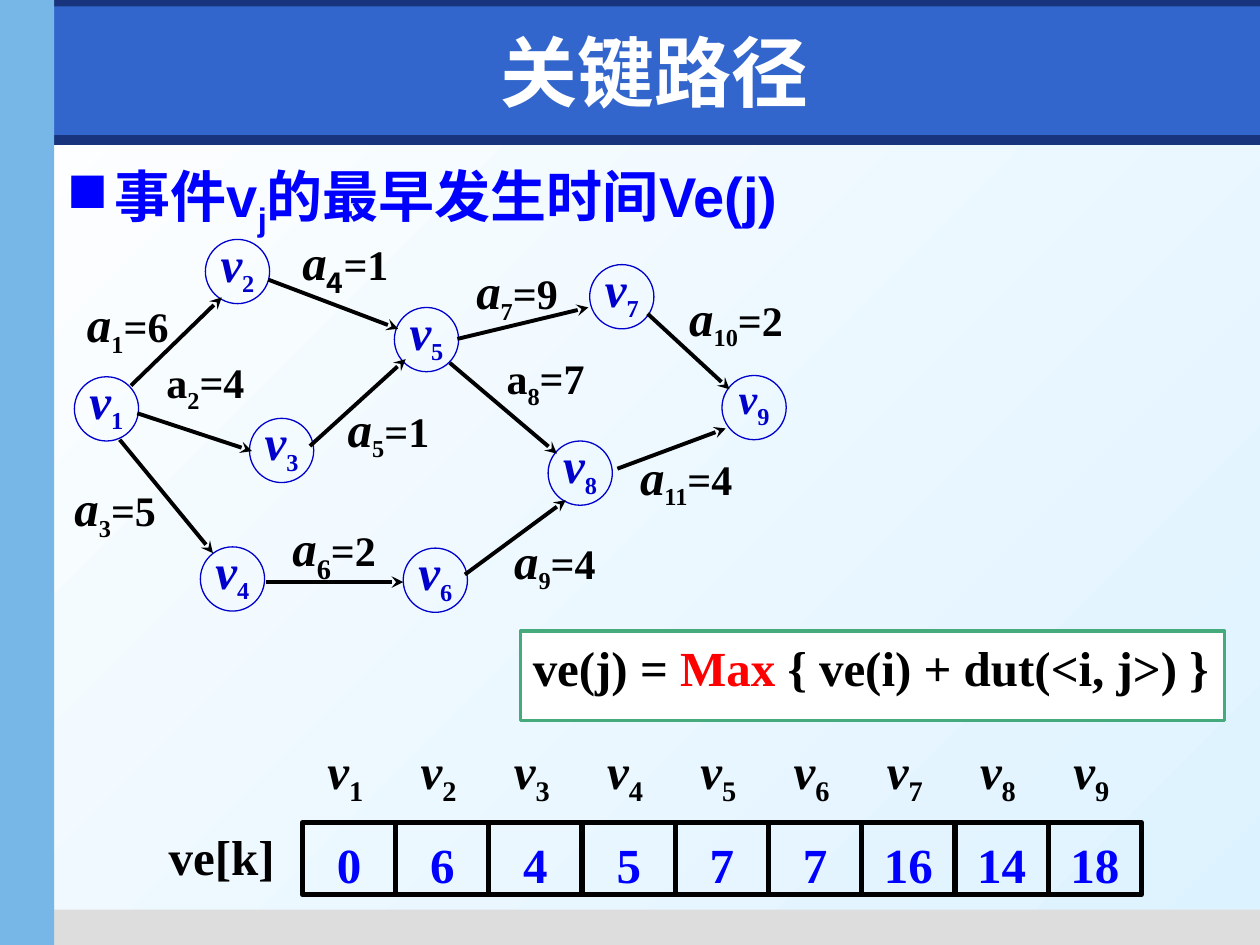
from dataclasses import dataclass

from lxml.etree import SubElement
from pptx import Presentation
from pptx.dml.color import RGBColor
from pptx.enum.lang import MSO_LANGUAGE_ID
from pptx.enum.shapes import MSO_CONNECTOR, MSO_SHAPE
from pptx.enum.text import MSO_ANCHOR, PP_ALIGN
from pptx.oxml.ns import qn
from pptx.util import Inches, Pt


@dataclass(frozen=True)
class Theme:
    navy: str = "17347D"
    band: str = "3366CC"
    sky: str = "77B7E7"
    gray: str = "DDDDDD"
    white: str = "FFFFFF"
    pale: str = "DDF2FF"
    ink: str = "000000"
    blue: str = "0000FF"
    node: str = "0000CC"
    red: str = "FF0000"
    green: str = "45AB7D"
    serif: str = "Times New Roman"
    sans: str = "Arial"
    head: str = "DejaVu Sans"
    cjk: str = "Noto Sans CJK SC"
    title: int = 44
    lead: int = 32
    text: int = 28
    small: int = 24


T = Theme()
ZERO = (0, 0, 0, 0)
PAD = (0.1, 0.05, 0.1, 0.05)

# Background bars: left, top, width, height, colour
BARS = [
    (0.04, 1.07, 9.96, 0.08, T.navy),
    (0.35, 7.22, 9.65, 0.28, T.gray),
    (0, 0, 10, 0.21, T.navy),
    (0.43, 0.05, 9.57, 1.02, T.band),
    (0, 0, 0.43, 7.5, T.sky),
]

# Events v1 to v9: left and top of each circle
NODE = 0.51
NODES = [(0.59, 2.99), (1.63, 1.9), (1.98, 3.32), (1.59, 4.34), (3.13, 2.44),
         (3.2, 4.35), (4.68, 2.1), (4.35, 3.5), (5.73, 2.98)]

# Activities a1 to a11: arrow ends, label corner, weight
EDGES = [
    ((1.04, 3.06, 1.76, 2.36), (0.69, 2.33), 6),
    ((1.09, 3.28, 2, 3.58), (1.32, 2.83), 4),
    ((0.95, 3.49, 1.69, 4.39), (0.59, 3.79), 5),
    ((2.13, 2.22, 3.16, 2.61), (2.4, 1.84), 1),
    ((2.46, 3.54, 3.22, 2.85), (2.76, 3.16), 1),
    ((2.11, 4.62, 3.2, 4.62), (2.32, 4.11), 2),
    ((3.63, 2.69, 4.67, 2.44), (3.78, 2.07), 9),
    ((3.57, 2.88, 4.42, 3.6), (4.02, 2.8), 7),
    ((3.69, 4.56, 4.49, 3.97), (4.08, 4.21), 4),
    ((5.14, 2.49, 5.79, 3.09), (5.47, 2.28), 2),
    ((4.9, 3.72, 5.76, 3.4), (5.08, 3.54), 4),
]
PLAIN = (2, 8)  # activities with a small upright letter
SUBS = {4: {"size": T.text, "name": T.cjk}, 6: {"size": T.text}}

TIMES = [0, 6, 4, 5, 7, 7, 16, 14, 18]
CELL_W, CELL_H = 0.74, 0.57


def color(code):
    return RGBColor.from_string(code)


def write(frame, runs, pad=PAD, wrap=True, anchor=MSO_ANCHOR.TOP, **para):
    """Fill a frame with runs, each a text and its format values."""
    sides = ("left", "top", "right", "bottom")
    form = {f"margin_{side}": Inches(n) for side, n in zip(sides, pad)}
    form |= {"word_wrap": wrap, "vertical_anchor": anchor}
    for key, value in form.items():
        setattr(frame, key, value)
    line = frame.paragraphs[0]
    for key, value in ({"alignment": PP_ALIGN.LEFT} | para).items():
        setattr(line, key, value)
    base = {"name": T.serif, "size": T.text, "bold": True, "italic": False,
            "color": T.ink, "sub": False}
    for text, style in runs:
        look = base | style
        run = line.add_run()
        run.text = text
        run.font.color.rgb = color(look.pop("color"))
        props = run._r.get_or_add_rPr()
        if look.pop("sub"):
            props.set("baseline", "-25000")
        look["size"] = Pt(look["size"])
        look["language_id"] = MSO_LANGUAGE_ID.SIMPLIFIED_CHINESE
        for key, value in look.items():
            setattr(run.font, key, value)
        SubElement(props, qn("a:ea"), typeface=look["name"])
    return line


def label(slide, box, runs, **form):
    shape = slide.shapes.add_textbox(*map(Inches, box))
    return write(shape.text_frame, runs, **form)


def block(slide, kind, box, fill=None, line=None, width=1):
    shape = slide.shapes.add_shape(kind, *map(Inches, box))
    shape.shadow.inherit = False
    if fill:
        shape.fill.solid()
        shape.fill.fore_color.rgb = color(fill)
    else:
        shape.fill.background()
    if line:
        shape.line.color.rgb = color(line)
        shape.line.width = Pt(width)
    else:
        shape.line.fill.background()
    return shape


def arrow(slide, ends):
    link = slide.shapes.add_connector(MSO_CONNECTOR.STRAIGHT, *map(Inches, ends))
    link.line.color.rgb = color(T.ink)
    link.line.width = Pt(2.25)
    SubElement(link.line._get_or_add_ln(), qn("a:tailEnd"), type="stealth")
    SubElement(link._element.spPr, qn("a:effectLst"))


def indent(line, bullet=None):
    props = line._p.get_or_add_pPr()
    props.set("marL", str(Inches(0.38)))
    props.set("indent", str(-Inches(0.38)))
    if bullet:
        tint = SubElement(props, qn("a:buClr"))
        SubElement(tint, qn("a:srgbClr"), val=T.blue)
        SubElement(props, qn("a:buChar"), char=bullet)


def symbol(letter, index, **style):
    """Runs for a letter with a subscript."""
    return [(letter, {"italic": True} | style), (str(index), {"sub": True} | style)]


def frame(slide):
    # Backdrop and bars
    fill = slide.background.fill
    fill.gradient()
    fill.gradient_angle = 315
    for stop, code in zip(fill.gradient_stops, (T.white, T.pale)):
        stop.color.rgb = color(code)
    for *box, code in BARS:
        block(slide, MSO_SHAPE.RECTANGLE, box, code)
    # Title, raised above the bars
    title = slide.shapes.title
    slide.shapes._spTree.append(title._element)
    for key, value in zip(("left", "top", "width", "height"), (0.59, 0.13, 9.21, 0.87)):
        setattr(title, key, Inches(value))
    write(title.text_frame, [("关键路径", {"name": T.head, "size": T.title, "color": T.white})],
          anchor=MSO_ANCHOR.MIDDLE, alignment=PP_ALIGN.CENTER)
    # Lead line
    look = {"name": T.sans, "size": T.lead, "color": T.blue}
    runs = [("事件v", look), ("j", look | {"sub": True}), ("的最早发生时间Ve(j)", look)]
    indent(label(slide, (0.43, 1.23, 9.37, 0.7), runs, space_before=Pt(6.4)), "■")


def graph(slide):
    for num, spot in enumerate(NODES, 1):
        disc = block(slide, MSO_SHAPE.OVAL, (*spot, NODE, NODE), line=T.node, width=0.75)
        runs = symbol("v", num, color=T.node, size=T.small)
        if num < len(NODES):
            runs[0][1]["size"] = T.text
        write(disc.text_frame, runs, pad=(0, 0, 0, 0.1), wrap=False,
              anchor=MSO_ANCHOR.MIDDLE, alignment=PP_ALIGN.CENTER)
    for num, (ends, spot, weight) in enumerate(EDGES, 1):
        arrow(slide, ends)
        runs = symbol("a", num, size=T.small)
        runs[0][1].update(italic=num not in PLAIN, size=T.small if num in PLAIN else T.text)
        runs[1][1].update(SUBS.get(num, {}))
        runs.append((f"={weight}", {"size": T.small}))
        label(slide, (*spot, 0.72 if num < 10 else 0.87, 0.57), runs, pad=ZERO)


def rule(slide):
    box = block(slide, MSO_SHAPE.RECTANGLE, (4.13, 5.01, 5.59, 0.71), T.white, T.green, 2)
    runs = [("ve(j) = ", {}), ("Max", {"color": T.red}), (" { ve(i) + dut(<i, j>) }", {})]
    indent(write(box.text_frame, runs, pad=(0.1, 0.05, 0, 0.05), space_before=Pt(5.6)))


def times(slide):
    label(slide, (1.24, 6.51, 1.08, CELL_H), [("ve[k]", {})], space_before=Pt(3))
    for num, time in enumerate(TIMES):
        step = num * CELL_W
        label(slide, (2.5 + step, 5.83, CELL_W, CELL_H), symbol("v", num + 1),
              space_before=Pt(3))
        cell = block(slide, MSO_SHAPE.RECTANGLE, (2.4 + step, 6.53, CELL_W, CELL_H),
                     line=T.ink, width=3)
        write(cell.text_frame, [(str(time), {"color": T.blue})], pad=(0, 0.08, 0, 0),
              anchor=MSO_ANCHOR.MIDDLE, alignment=PP_ALIGN.CENTER)


def main():
    deck = Presentation()
    deck.slide_width, deck.slide_height = Inches(10), Inches(7.5)
    slide = deck.slides.add_slide(deck.slide_layouts[5])
    for part in (frame, graph, rule, times):
        part(slide)
    deck.save("out.pptx")


if __name__ == "__main__":
    main()
